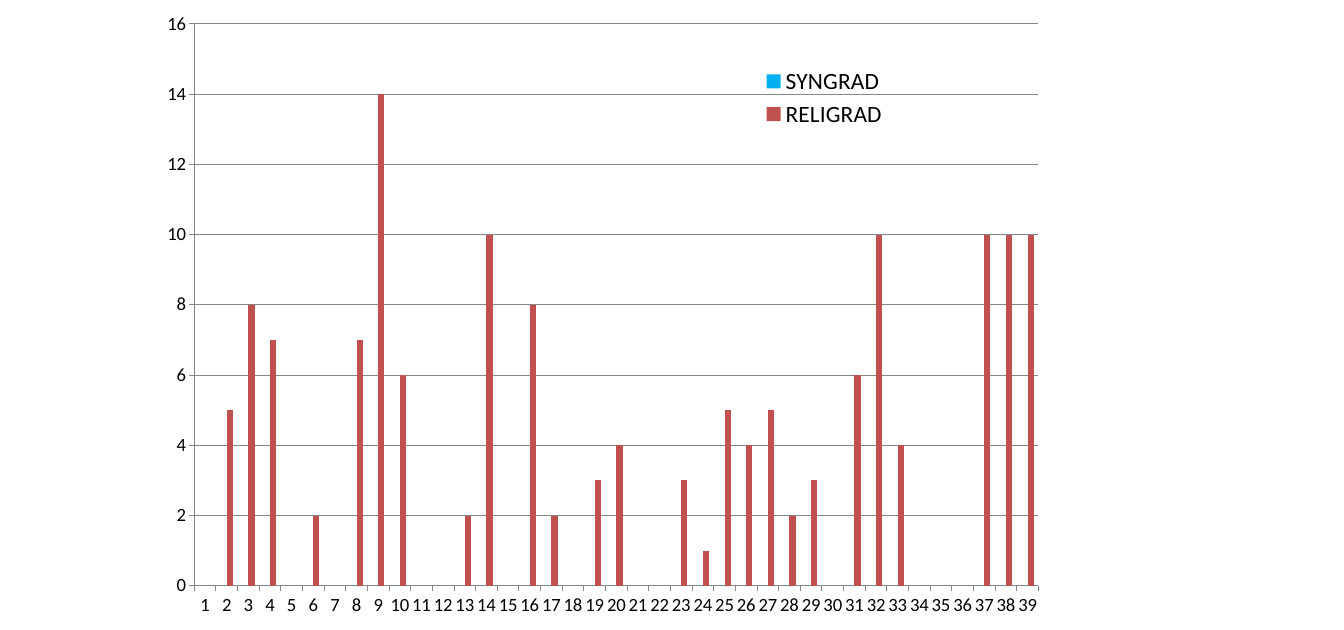
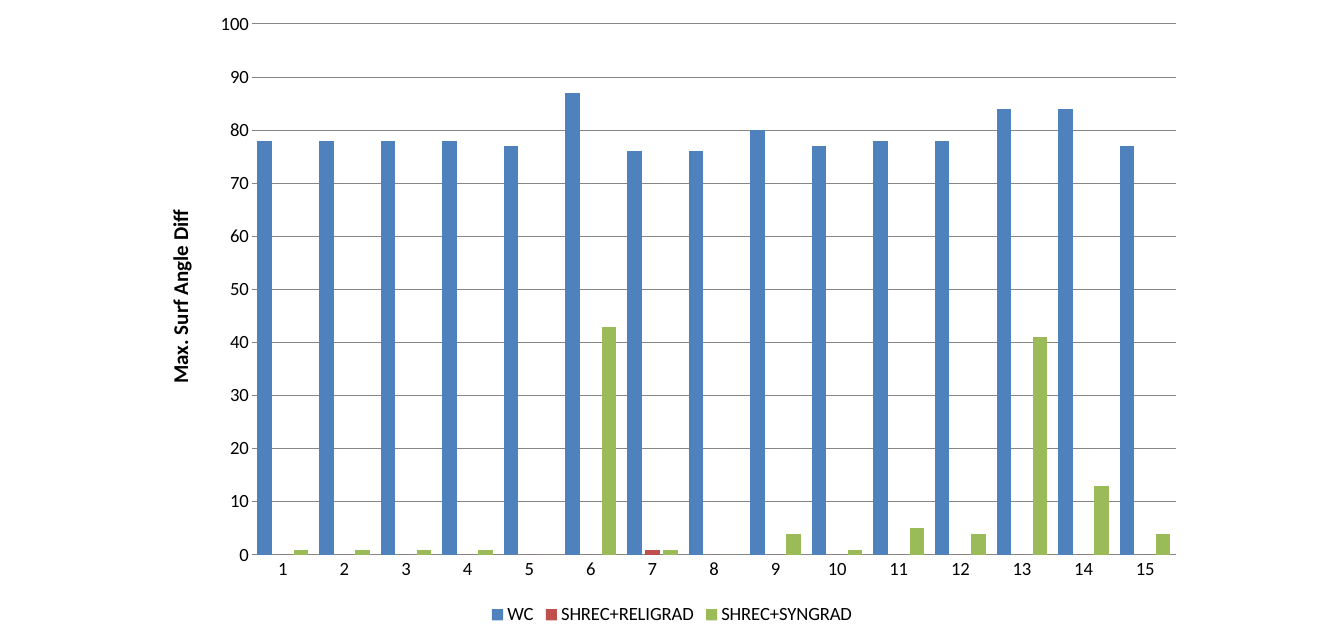
from dataclasses import dataclass
from typing import Optional

from pptx import Presentation
from pptx.chart.chart import Chart
from pptx.chart.data import CategoryChartData
from pptx.dml.color import RGBColor
from pptx.enum.chart import XL_CHART_TYPE as ChartType
from pptx.enum.chart import XL_LEGEND_POSITION as LegendPos
from pptx.enum.chart import XL_TICK_MARK as Tick
from pptx.oxml import parse_xml
from pptx.oxml.ns import nsdecls
from pptx.util import Cm, Pt

# Shared style
FONT = "Calibri"
COLORS = {
    "text": "000000",
    "line": "868686",
    "cyan": "00B0F0",
    "red": "C0504D",
    "blue": "4F81BD",
    "green": "9BBB59",
}
SLIDE_W, SLIDE_H = Cm(40.64), Cm(19.05)
CHART_W = Cm(31.75)
AXIS_SIZE = 16


@dataclass
class Series:
    name: str
    color: str
    values: list[int]


@dataclass
class Frame:
    """Position and size as fractions of the chart."""
    x: float
    y: float
    w: float
    h: float


@dataclass
class ColumnChart:
    series: list[Series]
    gap: int
    overlap: int
    top: int
    step: int
    tick: Tick
    plot_frame: Frame
    legend_pos: LegendPos
    legend_size: int
    legend_frame: Optional[Frame] = None
    value_title: Optional[str] = None
    value_line: bool = True


CHARTS = [
    ColumnChart(
        series=[
            Series("SYNGRAD", "cyan", [0] * 39),
            Series("RELIGRAD", "red", [
                0, 5, 8, 7, 0, 2, 0, 7, 14, 6, 0, 0, 2,
                10, 0, 8, 2, 0, 3, 4, 0, 0, 3, 1, 5, 4,
                5, 2, 3, 0, 6, 10, 4, 0, 0, 0, 10, 10, 10]),
        ],
        gap=150, overlap=0, top=16, step=2, tick=Tick.OUTSIDE,
        plot_frame=Frame(0.045, 0.038, 0.804, 0.892),
        legend_pos=LegendPos.RIGHT, legend_size=20,
        legend_frame=Frame(0.58, 0.1, 0.13, 0.11),
    ),
    ColumnChart(
        series=[
            Series("WC", "blue", [78, 78, 78, 78, 77, 87, 76, 76, 80, 77, 78, 78, 84, 84, 77]),
            Series("SHREC+RELIGRAD", "red", [0] * 6 + [1] + [0] * 8),
            Series("SHREC+SYNGRAD", "green", [1, 1, 1, 1, 0, 43, 1, 0, 4, 1, 5, 4, 41, 13, 4]),
        ],
        gap=75, overlap=-25, top=100, step=10, tick=Tick.NONE,
        plot_frame=Frame(0.1, 0.038, 0.88, 0.843),
        legend_pos=LegendPos.BOTTOM, legend_size=16,
        value_title="Max. Surf Angle Diff", value_line=False,
    ),
]


def rgb(name: str) -> RGBColor:
    return RGBColor.from_string(COLORS[name])


def style_font(font, size: int, bold: bool = False) -> None:
    font.name, font.size, font.bold = FONT, Pt(size), bold
    font.color.rgb = rgb("text")


def style_line(line) -> None:
    line.color.rgb = rgb("line")
    line.width = Pt(0.75)


def layout_xml(frame: Frame, inner: bool = False):
    target = '<c:layoutTarget val="inner"/>' if inner else ""
    return parse_xml(
        f'<c:layout {nsdecls("c")}><c:manualLayout>{target}'
        '<c:xMode val="edge"/><c:yMode val="edge"/>'
        f'<c:x val="{frame.x}"/><c:y val="{frame.y}"/>'
        f'<c:w val="{frame.w}"/><c:h val="{frame.h}"/>'
        "</c:manualLayout></c:layout>")


def place_parts(chart: Chart, item: ColumnChart) -> None:
    root = chart.element
    for old in root.xpath(".//c:plotArea/c:layout | .//c:legend/c:layout"):
        old.getparent().remove(old)
    root.xpath(".//c:plotArea")[0].insert(0, layout_xml(item.plot_frame, inner=True))
    if item.legend_frame:
        root.xpath(".//c:legend/c:legendPos")[0].addnext(layout_xml(item.legend_frame))


def style_axes(chart: Chart, item: ColumnChart) -> None:
    for axis in (chart.category_axis, chart.value_axis):
        axis.major_tick_mark, axis.minor_tick_mark = item.tick, Tick.NONE
        style_font(axis.tick_labels.font, AXIS_SIZE)
        style_line(axis.format.line)
    chart.category_axis.has_major_gridlines = False

    values = chart.value_axis
    values.minimum_scale, values.maximum_scale = 0, item.top
    values.major_unit = item.step
    values.has_major_gridlines = True
    style_line(values.major_gridlines.format.line)
    if not item.value_line:
        values.format.line.fill.background()
    if item.value_title:
        p = values.axis_title.text_frame.paragraphs[0]
        r = p.add_run()
        r.text = item.value_title
        style_font(r.font, 18, bold=True)


def add_column_chart(slide, item: ColumnChart) -> None:
    data = CategoryChartData()
    data.categories = [str(n + 1) for n in range(len(item.series[0].values))]
    for s in item.series:
        data.add_series(s.name, s.values)
    chart = slide.shapes.add_chart(
        ChartType.COLUMN_CLUSTERED, (SLIDE_W - CHART_W) // 2, 0, CHART_W, SLIDE_H, data).chart
    chart.has_title = False
    style_font(chart.font, 10)

    # Columns
    plot = chart.plots[0]
    plot.gap_width, plot.overlap, plot.vary_by_categories = item.gap, item.overlap, False
    for column, s in zip(plot.series, item.series):
        column.format.fill.solid()
        column.format.fill.fore_color.rgb = rgb(s.color)

    # Axes and legend
    style_axes(chart, item)
    chart.has_legend = True
    chart.legend.position = item.legend_pos
    chart.legend.include_in_layout = False
    style_font(chart.legend.font, item.legend_size)
    place_parts(chart, item)


def main() -> None:
    prs = Presentation()
    prs.slide_width, prs.slide_height = SLIDE_W, SLIDE_H
    for item in CHARTS:
        add_column_chart(prs.slides.add_slide(prs.slide_layouts[6]), item)
    prs.save("out.pptx")


if __name__ == "__main__":
    main()
